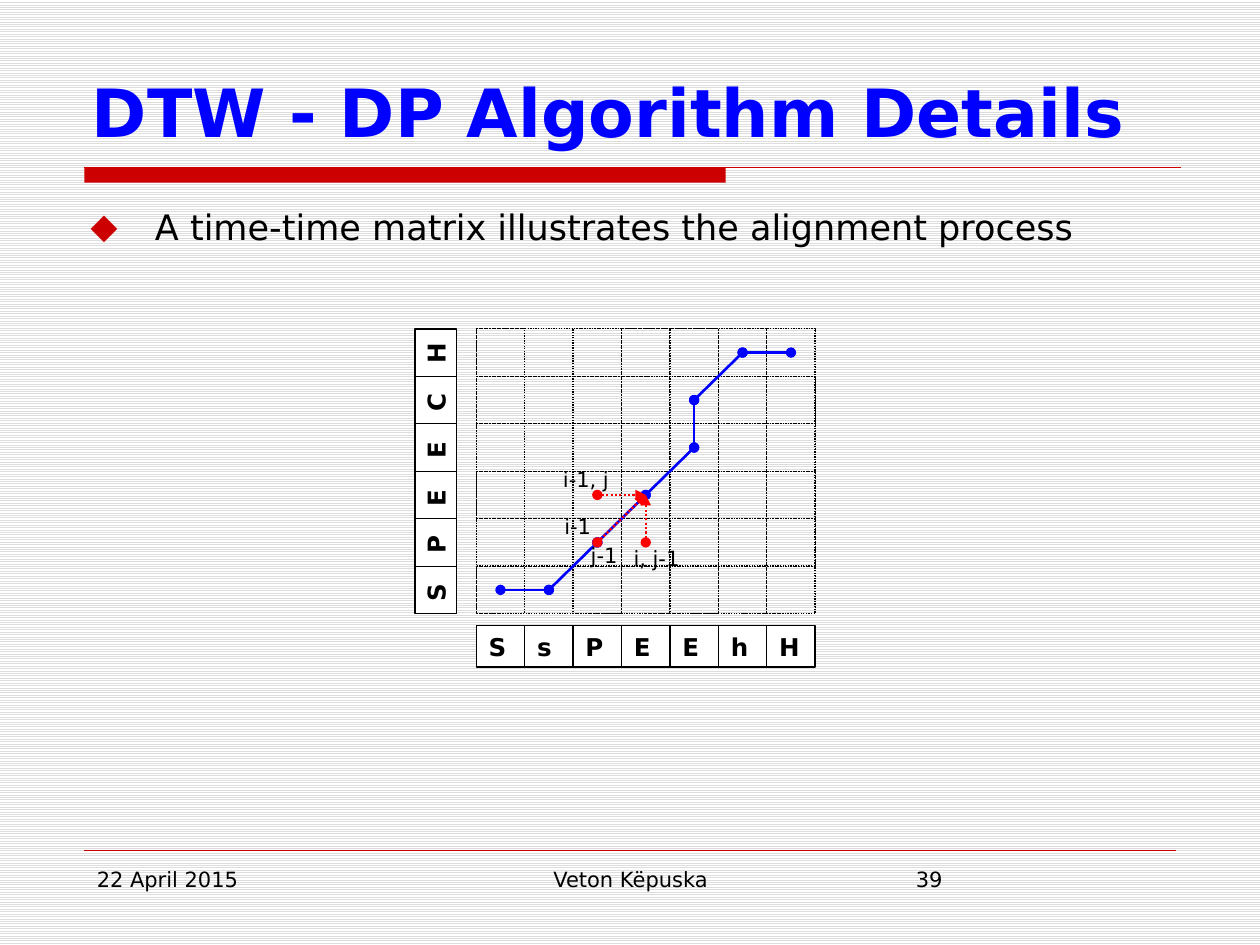
from lxml import etree
from pptx import Presentation
from pptx.dml.color import RGBColor
from pptx.enum.dml import MSO_LINE, MSO_PATTERN
from pptx.enum.shapes import MSO_CONNECTOR, MSO_SHAPE
from pptx.enum.text import MSO_ANCHOR, MSO_AUTO_SIZE, PP_ALIGN
from pptx.oxml.ns import qn
from pptx.util import Inches, Pt

RECTANGLE = MSO_SHAPE.RECTANGLE
STRAIGHT = MSO_CONNECTOR.STRAIGHT
DOTTED = MSO_LINE.ROUND_DOT
LIGHT_HORIZONTAL = MSO_PATTERN.LIGHT_HORIZONTAL
LEFT, CENTER = PP_ALIGN.LEFT, PP_ALIGN.CENTER
TOP, MIDDLE, BOTTOM = MSO_ANCHOR.TOP, MSO_ANCHOR.MIDDLE, MSO_ANCHOR.BOTTOM
NO_AUTOFIT = MSO_AUTO_SIZE.NONE

FONT = "DejaVu Sans"
BLACK, WHITE, GRAY = "000000", "FFFFFF", "DDDDDD"
BLUE, RED, DARK_RED = "0000FF", "FF0000", "CC0000"

SPOKEN = "SsPEEhH"
REFERENCE = "SPEECH"
WARP_PATH = [(0, 0), (1, 0), (2, 1), (3, 2), (4, 3), (4, 4), (5, 5), (6, 5)]
CURRENT = (3, 2)
PREDECESSORS = [(2, 2), (2, 1), (3, 1)]
OUTLINED_COLUMNS = [0, 2, 3, 4, 5, 6]
STEP_LABELS = [
    ("i-1", 0.6, 1.42, 0.49),
    ("j-1", 0.81, 1.65, 0.5),
    ("i-1, j", 0.59, 1.04, 0.64),
    ("i, j-1", 1.15, 1.67, 0.63),
]


def color(hex_code):
    """Turn a hex string into a colour."""
    return RGBColor.from_string(hex_code)


def inches(*lengths):
    """Convert several lengths at once."""
    return [Inches(length) for length in lengths]


def write(shape, text, size, ink=BLACK, bold=False, align=LEFT, anchor=TOP):
    """Put one formatted paragraph into a shape and return it."""
    frame = shape.text_frame
    frame.text = text
    frame.word_wrap = True
    frame.auto_size = NO_AUTOFIT
    frame.vertical_anchor = anchor
    paragraph = frame.paragraphs[0]
    paragraph.alignment = align
    paragraph.space_before = Pt(0)
    font = paragraph.font
    font.name, font.size, font.bold = FONT, Pt(size), bold
    font.color.rgb = color(ink)
    return paragraph


def add_text(slide, box, text, align=LEFT):
    """Add a small text box."""
    write(slide.shapes.add_textbox(*inches(*box)), text, 12, align=align)


def add_rectangle(slide, box, fill=None, line=None, dash=None):
    """Add a flat rectangle with optional fill and outline."""
    rectangle = slide.shapes.add_shape(RECTANGLE, *inches(*box))
    rectangle.shadow.inherit = False
    if fill:
        rectangle.fill.solid()
        rectangle.fill.fore_color.rgb = color(fill)
    else:
        rectangle.fill.background()
    if line:
        rectangle.line.color.rgb = color(line)
        rectangle.line.width = Pt(0.75)
        rectangle.line.dash_style = dash
    else:
        rectangle.line.fill.background()
    return rectangle


def add_line(slide, start, end, ink, width, dash=None, head=None, tail=None):
    """Add a straight line with optional end marks."""
    line = slide.shapes.add_connector(STRAIGHT, *inches(*start, *end))
    line.line.color.rgb = color(ink)
    line.line.width = Pt(width)
    line.line.dash_style = dash
    for tag, mark in (("a:headEnd", head), ("a:tailEnd", tail)):
        if mark:
            etree.SubElement(line.get_or_add_ln(), qn(tag), type=mark)
    etree.SubElement(line._element.spPr, qn("a:effectLst"))


def place(placeholder, box):
    """Move a placeholder to a box."""
    (placeholder.left, placeholder.top,
     placeholder.width, placeholder.height) = inches(*box)


def add_heading(slide, box):
    """Fill the title and draw the rule below it."""
    place(slide.shapes.title, box)
    write(slide.shapes.title, "DTW - DP Algorithm Details", 38, BLUE, True,
          anchor=BOTTOM)
    left, rule_top = box[0] + 0.04, box[1] + 1
    add_rectangle(slide, (left, rule_top, 5.09, 0.12), fill=DARK_RED)
    add_line(slide, (left, rule_top), (left + 8.7, rule_top), DARK_RED, 0.75)


def add_body(slide, box):
    """Fill the bulleted list."""
    body = slide.placeholders[1]
    place(body, box)
    bullet = write(
        body, "A time-time matrix illustrates the alignment process", 20)
    properties = bullet._p.get_or_add_pPr()
    properties.set("marL", str(Inches(0.51)))
    properties.set("indent", str(Inches(-0.51)))
    bullet_color = etree.SubElement(properties, qn("a:buClr"))
    etree.SubElement(bullet_color, qn("a:srgbClr"), val=DARK_RED)
    etree.SubElement(properties, qn("a:buFont"), typeface=FONT)
    etree.SubElement(properties, qn("a:buChar"), char="◆")
    properties.append(properties.find(qn("a:defRPr")))


def add_letter(slide, center, size, letter, rotation=0):
    """Add one letter cell around its centre."""
    width, height = size
    box = (center[0] - width / 2, center[1] - height / 2, width, height)
    cell = add_rectangle(slide, box, fill=WHITE, line=BLACK)
    cell.rotation = rotation
    write(cell, letter, 14, bold=True, anchor=MIDDLE)


def add_matrix(slide, box):
    """Draw the alignment grid, its letters, the path and the steps."""
    left, top, width, height = box
    column_width, row_height = width / len(SPOKEN), height / len(REFERENCE)

    def center(column, row):
        """Give the centre of a cell, counting rows upward."""
        return (left + (column + 0.5) * column_width,
                top + height - (row + 0.5) * row_height)

    for column in OUTLINED_COLUMNS:
        add_rectangle(
            slide, (left + column * column_width, top, column_width, height),
            line=BLACK, dash=DOTTED)
    for row in range(len(REFERENCE)):
        add_rectangle(
            slide, (left, top + row * row_height, width, row_height),
            line=BLACK, dash=DOTTED)
    for column, letter in enumerate(SPOKEN):
        add_letter(slide, (center(column, 0)[0], top + height + 0.26),
                   (column_width, 0.33), letter)
    for row, letter in enumerate(REFERENCE):
        add_letter(slide, (left - 0.32, center(0, row)[1]),
                   (row_height, 0.33), letter, 270)
    for start, end in zip(WARP_PATH, WARP_PATH[1:]):
        add_line(slide, center(*start), center(*end), BLUE, 1.5,
                 head="oval", tail="oval")
    for predecessor in PREDECESSORS:
        add_line(slide, center(*predecessor), center(*CURRENT), RED, 1.25,
                 DOTTED, "oval", "triangle")
    for text, across, down, label_width in STEP_LABELS:
        add_text(slide, (left + across, top + down, label_width, 0.28), text)


def add_footer(slide, box):
    """Draw the footer rule with date, author and slide number."""
    left, top, width, height = box
    add_line(slide, (left, top), (left + width, top), DARK_RED, 0.25)
    text_top, text_height = top + 0.08, height - 0.08
    add_text(slide, (left, text_top, 2.17, text_height), "22 April 2015")
    add_text(slide, (left + 2.75, text_top, 3.17, text_height),
             "Veton Këpuska", CENTER)
    add_text(slide, (left + 6.5, text_top, 2.17, text_height), "39")


def main():
    """Build and save the slide."""
    deck = Presentation()
    deck.slide_width, deck.slide_height = inches(10, 7.5)
    slide = deck.slides.add_slide(deck.slide_layouts[1])
    background = slide.background.fill
    background.patterned()
    background.pattern = LIGHT_HORIZONTAL
    background.fore_color.rgb = color(GRAY)
    background.back_color.rgb = color(WHITE)
    add_heading(slide, (0.63, 0.33, 8.75, 0.92))
    add_body(slide, (0.62, 1.58, 8.75, 5))
    add_matrix(slide, (3.78, 2.61, 2.69, 2.26))
    add_footer(slide, (0.67, 6.75, 8.66, 0.6))
    deck.save("out.pptx")


if __name__ == "__main__":
    main()
